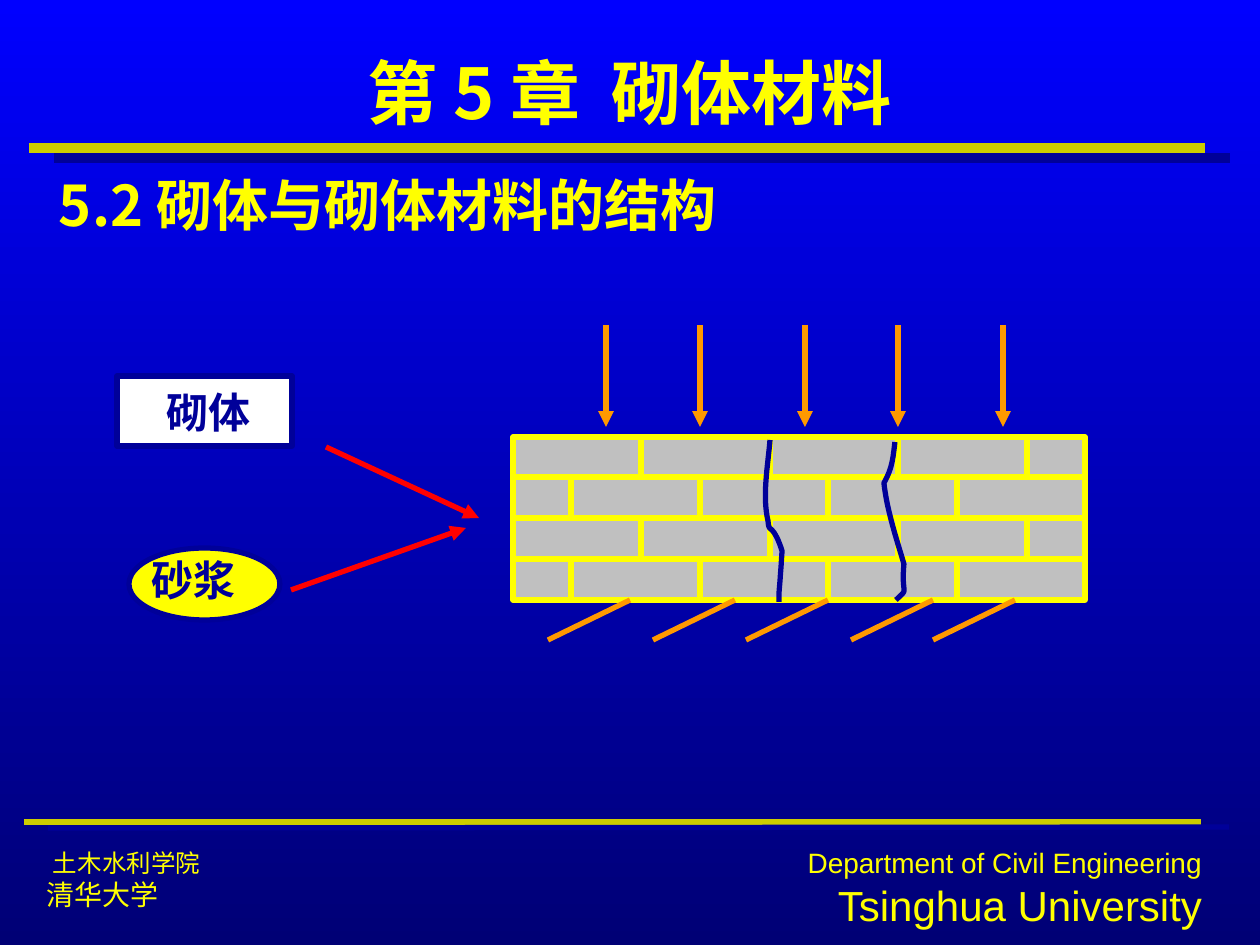
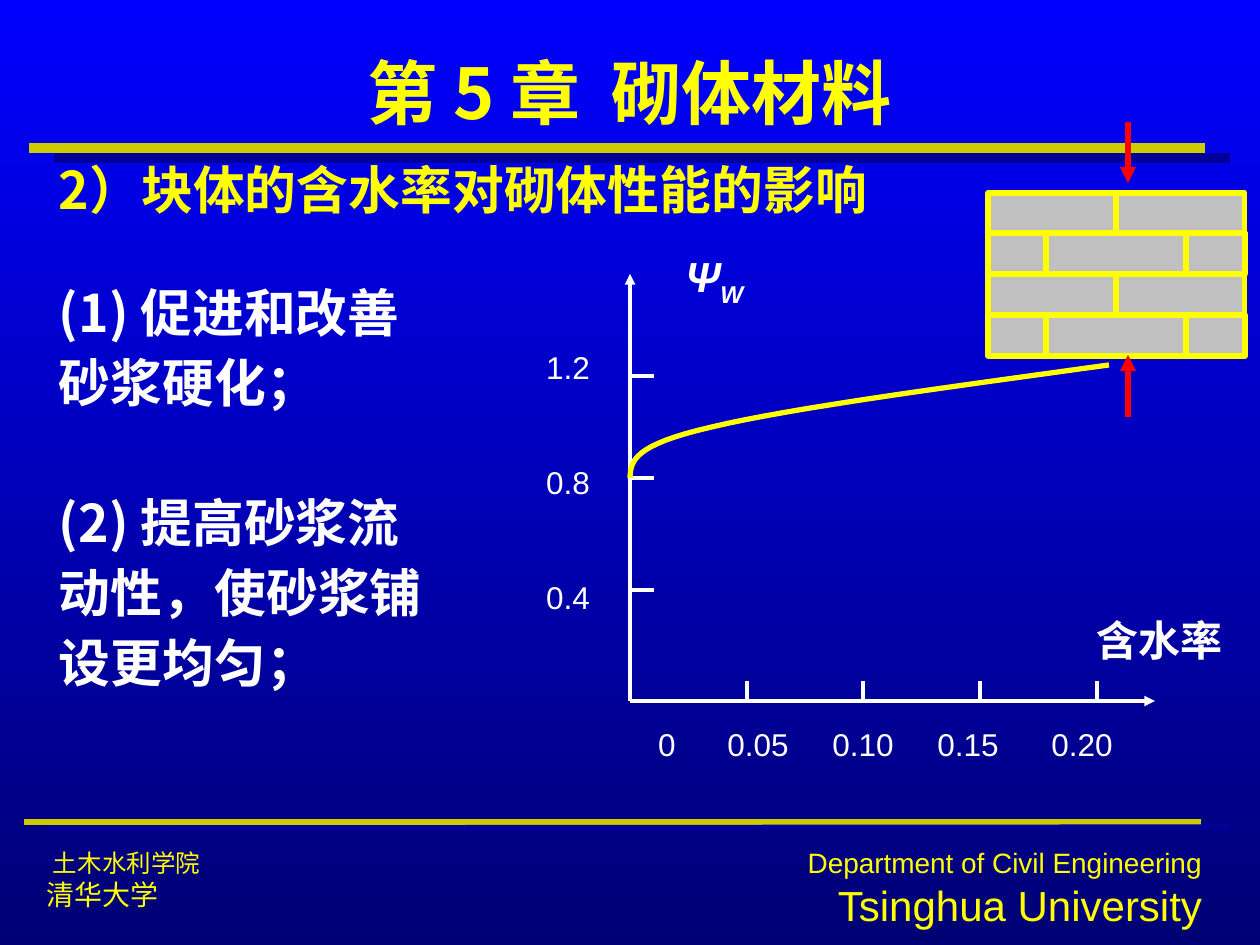
from dataclasses import dataclass, field
from typing import Sequence

from lxml import etree
from pptx import Presentation
from pptx.dml.color import RGBColor
from pptx.enum.shapes import MSO_CONNECTOR, MSO_SHAPE
from pptx.enum.text import MSO_ANCHOR, PP_ALIGN
from pptx.oxml.ns import qn
from pptx.util import Emu, Pt

EMU_PER_PX = 914400 / 126
BLANK_LAYOUT = 6
STRAIGHT = MSO_CONNECTOR.STRAIGHT
RECTANGLE, ELLIPSE = MSO_SHAPE.RECTANGLE, MSO_SHAPE.OVAL
LEFT, CENTER, RIGHT = PP_ALIGN.LEFT, PP_ALIGN.CENTER, PP_ALIGN.RIGHT
TOP, MIDDLE = MSO_ANCHOR.TOP, MSO_ANCHOR.MIDDLE
LATIN, CJK = "Arial", "Noto Sans CJK SC"

COLORS = {
    "sky": "0000FF", "deep": "000075", "navy": "000099", "gold": "CCCC00",
    "yellow": "FFFF00", "white": "FFFFFF", "brick": "C0C0C0",
    "red": "FF0000", "orange": "FF9900",
}

# Named text formats
FORMATS = {
    "title": {"size": Pt(40), "bold": True, "name": CJK},
    "heading": {"size": Pt(32), "bold": True, "name": CJK},
    "point": {"size": Pt(29.6), "bold": True, "name": CJK},
    "label": {"size": Pt(24), "bold": True, "name": LATIN},
    "symbol": {"size": Pt(24), "bold": True, "italic": True, "name": LATIN},
    "tick": {"size": Pt(18), "name": LATIN},
    "small": {"size": Pt(14), "name": LATIN},
    "medium": {"size": Pt(16), "name": LATIN},
    "large": {"size": Pt(24), "name": LATIN},
}


@dataclass
class Span:
    text: str
    style: str
    color: str = "yellow"
    extra: dict = field(default_factory=dict)


@dataclass
class Para:
    spans: Sequence[Span]
    layout: dict = field(default_factory=dict)
    indent: int = 0


@dataclass
class TextBox:
    left: int
    top: int
    width: int
    height: int
    paras: Sequence[Para]
    align: int = CENTER
    anchor: int = MIDDLE


@dataclass
class Line:
    x1: int
    y1: int
    x2: int
    y2: int
    color: str
    width: float = 3
    arrow: bool = False


@dataclass
class Wall:
    left: int
    top: int
    courses: Sequence[Sequence[int]]
    height: int = 163


def px(value: float) -> Emu:
    return Emu(round(value * EMU_PER_PX))


def rgb(name: str) -> RGBColor:
    return RGBColor.from_string(COLORS[name])


def draw_text(page, item: TextBox) -> None:
    box = page.shapes.add_textbox(*map(px, (item.left, item.top, item.width, item.height)))
    frame = box.text_frame
    frame.word_wrap = True
    frame.vertical_anchor = item.anchor
    frame.margin_left = frame.margin_right = px(12)
    frame.margin_top = frame.margin_bottom = px(6)
    for index, content in enumerate(item.paras):
        para = frame.add_paragraph() if index else frame.paragraphs[0]
        para.alignment = item.align
        for name, value in content.layout.items():
            setattr(para, name, value)
        if content.indent:
            para._p.get_or_add_pPr().set("marL", str(px(content.indent)))
        for part in content.spans:
            span = para.add_run()
            span.text = part.text
            for name, value in FORMATS[part.style].items():
                setattr(span.font, name, value)
            span.font.color.rgb = rgb(part.color)
            properties = span._r.get_or_add_rPr()
            etree.SubElement(properties, qn("a:ea")).set("typeface", CJK)
            for name, value in part.extra.items():
                properties.set(name, value)


def draw_label(page, text: str, x: int, y: int, style: str, color: str) -> None:
    """Draw one short line of text centred on a point."""
    width, height = 176, 64
    draw_text(page, TextBox(x - width // 2, y - height // 2, width, height,
                            [Para([Span(text, style, color)])]))


def draw_line(page, item: Line) -> None:
    line = page.shapes.add_connector(STRAIGHT, *map(px, (item.x1, item.y1, item.x2, item.y2)))
    line.line.color.rgb = rgb(item.color)
    line.line.width = Pt(item.width)
    if item.arrow:
        etree.SubElement(line.line._get_or_add_ln(), qn("a:tailEnd")).set("type", "triangle")
    etree.SubElement(line._element.spPr, qn("a:effectLst"))


def draw_shape(page, kind: int, left: int, top: int, width: int, height: int,
               fill: str, outline: str) -> None:
    shape = page.shapes.add_shape(kind, *map(px, (left, top, width, height)))
    shape.shadow.inherit = False
    shape.fill.solid()
    shape.fill.fore_color.rgb = rgb(fill)
    shape.line.color.rgb = rgb(outline)
    shape.line.width = Pt(3)


def draw_wall(page, wall: Wall) -> None:
    count = len(wall.courses)
    edges = [wall.top + wall.height * row // count for row in range(count + 1)]
    for joints, top, bottom in zip(wall.courses, edges, edges[1:]):
        for start, end in zip(joints, joints[1:]):
            draw_shape(page, RECTANGLE, wall.left + start, top, end - start, bottom - top,
                       "brick", "yellow")


def draw_curve(page, points: Sequence[tuple[int, int]], color: str, steps: int = 16) -> None:
    """Trace chained cubic Bezier segments: a start, then three points each."""
    traced = []
    for first in range(0, len(points) - 1, 3):
        corners = points[first:first + 4]
        for step in range(1, steps + 1):
            t = step / steps
            weights = ((1 - t) ** 3, 3 * t * (1 - t) ** 2, 3 * t * t * (1 - t), t ** 3)
            traced.append(tuple(px(sum(w * corner[axis] for w, corner in zip(weights, corners)))
                                for axis in (0, 1)))
    builder = page.shapes.build_freeform(px(points[0][0]), px(points[0][1]))
    builder.add_line_segments(traced, close=False)
    curve = builder.convert_to_shape()
    curve.shadow.inherit = False
    curve.fill.background()
    curve.line.color.rgb = rgb(color)
    curve.line.width = Pt(3)


# Title, rules and footers shared by every page
RULES = [
    Line(29, 148, 1205, 148, "gold", 6),
    Line(54, 158, 1230, 158, "navy", 6),
    Line(24, 822, 1201, 822, "gold"),
    Line(48, 828, 1229, 827, "navy"),
]
SHARED_TEXT = [
    TextBox(94, 49, 1071, 86, [Para([
        Span("第 5 章", "title"),
        Span(" ", "title", extra={"spc": "900"}),
        Span("砌体材料", "title")])]),
    TextBox(35, 842, 502, 76, [
        Para([Span("土木水利学院", "small")], indent=6),
        Para([Span("清华大学", "medium")])], LEFT),
    TextBox(712, 839, 502, 97, [
        Para([Span("Department of Civil Engineering", "medium")]),
        Para([Span("Tsinghua University", "large")])], RIGHT),
]


def add_page(deck):
    page = deck.slides.add_slide(deck.slide_layouts[BLANK_LAYOUT])
    fill = page.background.fill
    fill.gradient()
    fill.gradient_angle = 270
    for stop, color in zip(fill.gradient_stops, ("sky", "deep")):
        stop.color.rgb = rgb(color)
    for rule in RULES:
        draw_line(page, rule)
    for item in SHARED_TEXT:
        draw_text(page, item)
    return page


def build_structure_page(deck) -> None:
    page = add_page(deck)
    draw_text(page, TextBox(47, 165, 1178, 100,
                            [Para([Span("5.2 砌体与砌体材料的结构", "heading")])], LEFT, TOP))

    # Component labels with pointers to the wall
    draw_shape(page, RECTANGLE, 117, 376, 175, 70, "white", "navy")
    draw_shape(page, ELLIPSE, 129, 548, 151, 72, "yellow", "navy")
    draw_label(page, "砌体", 209, 412, "label", "navy")
    draw_label(page, "砂浆", 194, 580, "label", "navy")

    # Wall in running bond: every second course is mirrored
    course = (0, 128, 257, 385, 514, 572)
    mirrored = tuple(course[-1] - joint for joint in reversed(course))
    draw_wall(page, Wall(513, 437, [course, mirrored] * 2))
    draw_line(page, Line(291, 590, 466, 528, "red", arrow=True))
    draw_line(page, Line(326, 447, 479, 518, "red", arrow=True))

    # Load arrows above and support strokes below
    for x in (606, 700, 805, 898, 1003):
        draw_line(page, Line(x, 325, x, 427, "orange", arrow=True))
    for x in (630, 735, 828, 933, 1015):
        draw_line(page, Line(x, 600, x - 82, 640, "orange"))

    # Cracks
    draw_curve(page, [(895, 442), (893, 459), (892, 469), (884, 483), (887, 510), (896, 537),
                      (904, 564), (901, 597), (910, 587), (896, 600)], "navy")
    draw_curve(page, [(770, 440), (768, 465), (762, 495), (768, 521), (769, 532), (770, 525),
                      (776, 536), (779, 541), (782, 551), (782, 551), (779, 600), (779, 583),
                      (779, 602)], "navy")


def build_moisture_page(deck) -> None:
    page = add_page(deck)

    # Heading and points: text, colour, space before in points
    lines = [
        ("2）块体的含水率对砌体性能的影响", "yellow", 0),
        ("(1) 促进和改善", "white", 30),
        ("砂浆硬化；", "white", 0),
        ("(2) 提高砂浆流", "white", 40),
        ("动性，使砂浆铺", "white", 0),
        ("设更均匀；", "white", 0),
    ]
    paras = [Para([Span(text, "point", color)],
                  {"line_spacing": Pt(40), "space_before": Pt(gap)})
             for text, color, gap in lines]
    draw_text(page, TextBox(47, 144, 920, 645, paras, LEFT, TOP))

    # Axes and ticks
    origin_x, origin_y = 630, 701
    draw_line(page, Line(origin_x, origin_y, origin_x, 274, "white", 2, True))
    draw_line(page, Line(origin_x, origin_y, 1155, origin_y, "white", 2, True))
    for y in (590, 478, 376):
        draw_line(page, Line(origin_x, y, origin_x + 24, y, "white", 2))
    for x in (747, 863, 980, 1097):
        draw_line(page, Line(x, origin_y, x, origin_y - 20, "white", 2))

    # Axis labels
    for row, text in enumerate(("1.2", "0.8", "0.4")):
        draw_label(page, text, 568, 367 + 115 * row, "tick", "white")
    for text, x in (("0", 667), ("0.05", 758), ("0.10", 863), ("0.15", 968), ("0.20", 1082)):
        draw_label(page, text, x, 744, "tick", "white")
    draw_label(page, "含水率", 1160, 640, "label", "white")
    draw_text(page, TextBox(659, 244, 111, 71, [Para([
        Span("Ψ", "symbol", "white"),
        Span("W", "symbol", "white", {"baseline": "-25000"})])]))

    # Strength curve
    draw_curve(page, [(630, 478), (631, 461), (633, 445), (712, 427), (791, 408), (950, 387),
                      (1109, 365)], "yellow")

    # Loaded wall sample
    draw_wall(page, Wall(988, 193, [(0, 128, 257), (0, 58, 198, 257)] * 2))
    draw_line(page, Line(1128, 122, 1128, 183, "red", arrow=True))
    draw_line(page, Line(1128, 417, 1128, 355, "red", arrow=True))


def main() -> None:
    deck = Presentation()
    deck.slide_width, deck.slide_height = px(1260), px(945)
    build_structure_page(deck)
    build_moisture_page(deck)
    deck.save("out.pptx")


if __name__ == "__main__":
    main()
